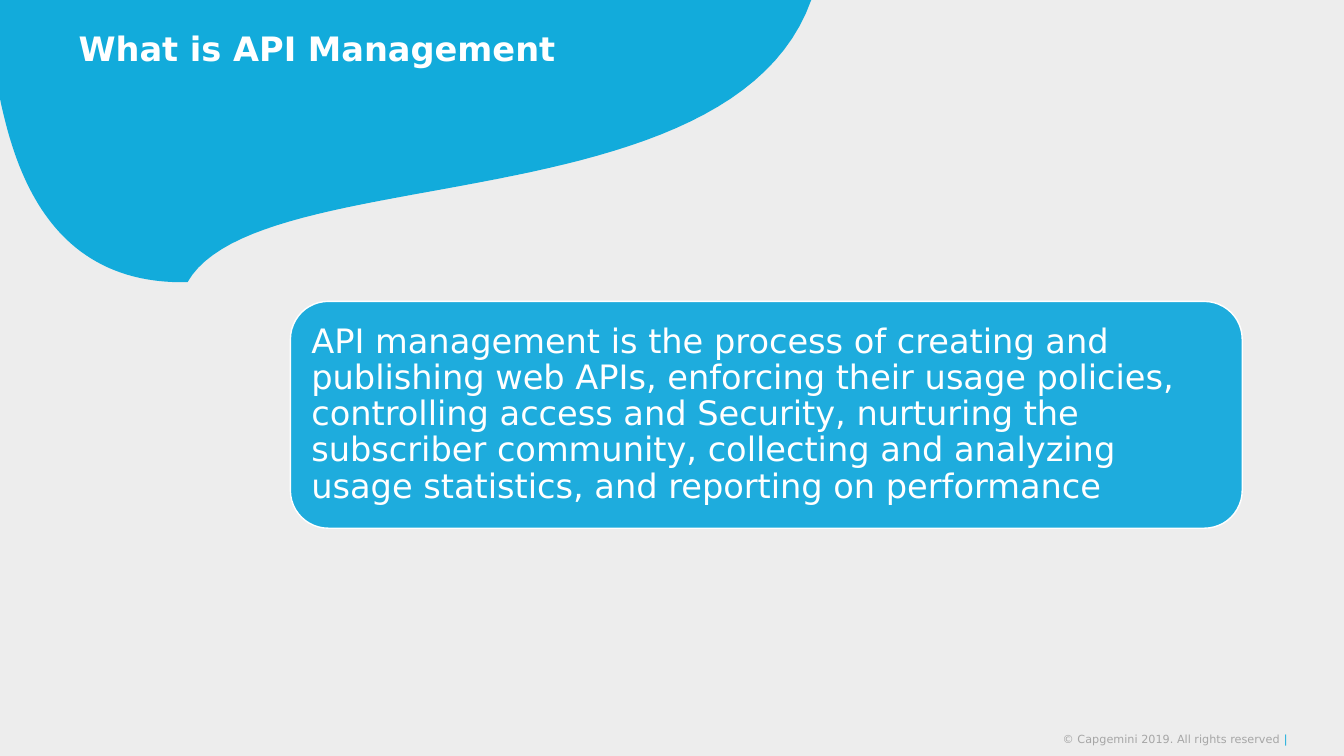
from dataclasses import dataclass
from pptx import Presentation
from pptx.dml.color import RGBColor as Rgb
from pptx.enum.shapes import MSO_SHAPE as Shape
from pptx.enum.text import MSO_ANCHOR as Anchor, PP_ALIGN as Align
from pptx.util import Inches, Pt

# Content
TITLE = "What is API Management"
BODY = (
    "API management is the process of creating and publishing web APIs, "
    "enforcing their usage policies, controlling access and Security, "
    "nurturing the subscriber community, collecting and analyzing usage "
    "statistics, and reporting on performance"
)
FOOTER = ("© Capgemini 2019. All rights reserved ", "|")

# Places in percent of the slide: left, top, width, height
TITLE_AT = (3.6, 0.4, 49.89, 12)
BODY_AT = (21.61, 39.87, 70.82, 30)
FOOT_AT = (73.97, 96.93, 21.83, 1.73)

# Blob: top edge, then two Bezier curves, in percent of the slide
EDGE = [(60.39, -0.13), (0, -0.13), (0, 13.07)]
CURVES = [
    [(1.13, 22.53), (3.75, 37.73), (13.95, 37.33)],
    [(19.2, 20.93), (54.46, 29.87), (60.39, -0.13)],
]
STEPS = 48


@dataclass(frozen=True)
class Theme:
    font: str = "DejaVu Sans"
    back: Rgb = Rgb(0xED, 0xED, 0xED)
    blue: Rgb = Rgb(0x12, 0xAB, 0xDB)
    card: Rgb = Rgb(0x1E, 0xAC, 0xDD)
    white: Rgb = Rgb(0xFF, 0xFF, 0xFF)
    gray: Rgb = Rgb(0xA6, 0xA6, 0xA6)
    large: Pt = Pt(24)
    small: Pt = Pt(8)


LOOK = Theme()
WIDE, HIGH = Inches(13.33), Inches(7.5)


def point(x, y):
    return round(WIDE * x / 100), round(HIGH * y / 100)


def place(box):
    return *point(*box[:2]), *point(*box[2:])


def bend(start, curve):
    """Points along a cubic Bezier curve, without its start."""
    ends = [start, *curve]
    for step in range(1, STEPS + 1):
        t = step / STEPS
        parts = ((1 - t) ** 3, 3 * t * (1 - t) ** 2, 3 * t * t * (1 - t), t ** 3)
        yield tuple(sum(p * e[i] for p, e in zip(parts, ends)) for i in (0, 1))


def setup(frame, pads):
    frame.word_wrap = True
    frame.vertical_anchor = Anchor.MIDDLE
    (frame.margin_left, frame.margin_top,
     frame.margin_right, frame.margin_bottom) = map(Inches, pads)
    return frame.paragraphs[0]


def write(para, text, size, color, bold=False):
    run = para.add_run()
    run.text = text
    font = run.font
    font.name, font.size, font.bold = LOOK.font, size, bold
    font.color.rgb = color


def paint(shape, color):
    shape.shadow.inherit = False
    shape.fill.solid()
    shape.fill.fore_color.rgb = color


def main():
    deck = Presentation()
    deck.slide_width, deck.slide_height = WIDE, HIGH
    slide = deck.slides.add_slide(deck.slide_layouts[6])
    slide.background.fill.solid()
    slide.background.fill.fore_color.rgb = LOOK.back
    shapes = slide.shapes

    # Blob
    trail = list(EDGE)
    for curve in CURVES:
        trail.extend(bend(trail[-1], curve))
    spots = [point(*spot) for spot in trail]
    pen = shapes.build_freeform(*spots[0])
    pen.add_line_segments(spots[1:-1], close=True)
    blob = pen.convert_to_shape()
    paint(blob, LOOK.blue)
    blob.line.fill.background()

    # Footer
    foot = shapes.add_textbox(*place(FOOT_AT))
    para = setup(foot.text_frame, (0, 0, 0, 0))
    para.alignment = Align.RIGHT
    for text, color in zip(FOOTER, (LOOK.gray, LOOK.blue)):
        write(para, text, LOOK.small, color)

    # Title
    head = shapes.add_textbox(*place(TITLE_AT))
    para = setup(head.text_frame, (0.3, 0.04, 0, 0))
    para.line_spacing = 0.9
    write(para, TITLE, LOOK.large, LOOK.white, bold=True)

    # Definition card
    card = shapes.add_shape(Shape.ROUNDED_RECTANGLE, *place(BODY_AT))
    paint(card, LOOK.card)
    card.line.color.rgb = LOOK.white
    card.line.width = Pt(1)
    para = setup(card.text_frame, (0.1, 0.1, 0.1, 0.1))
    para.alignment = Align.LEFT
    para.line_spacing = 0.9
    write(para, BODY, LOOK.large, LOOK.white)

    deck.save("out.pptx")


if __name__ == "__main__":
    main()
